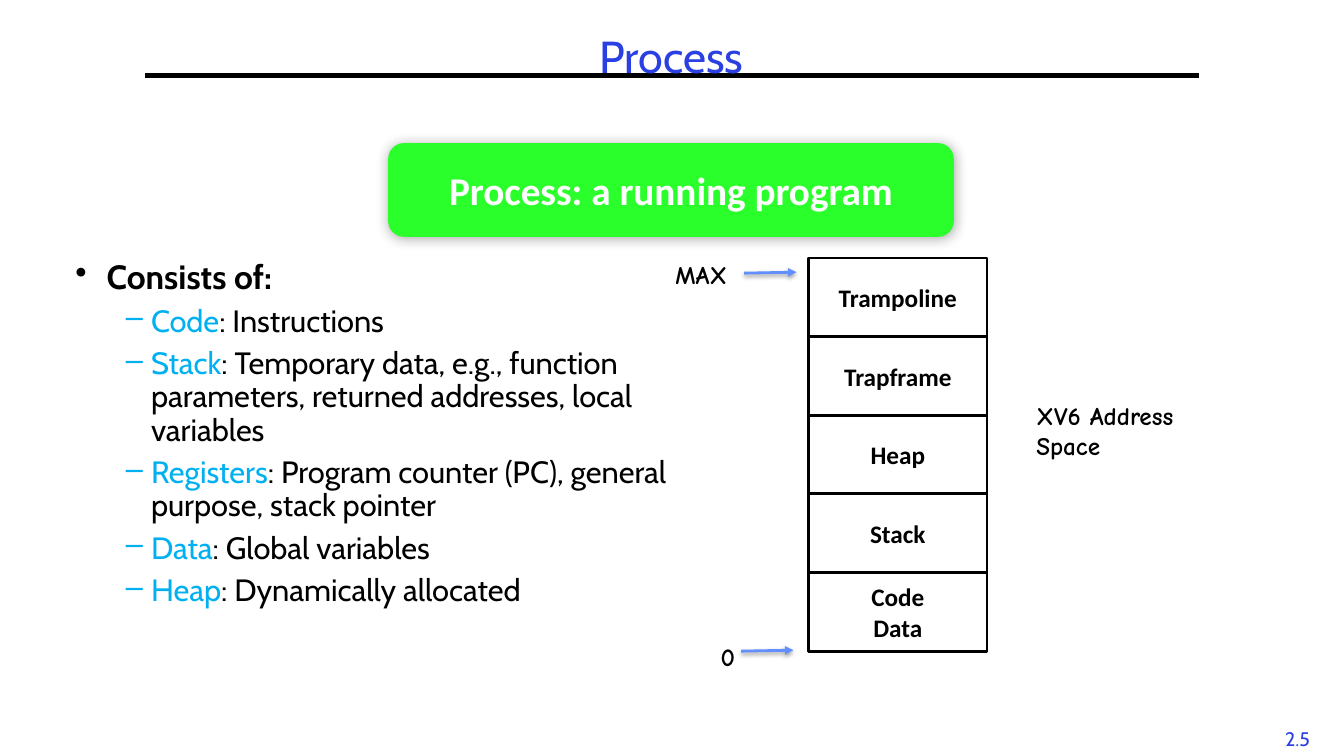
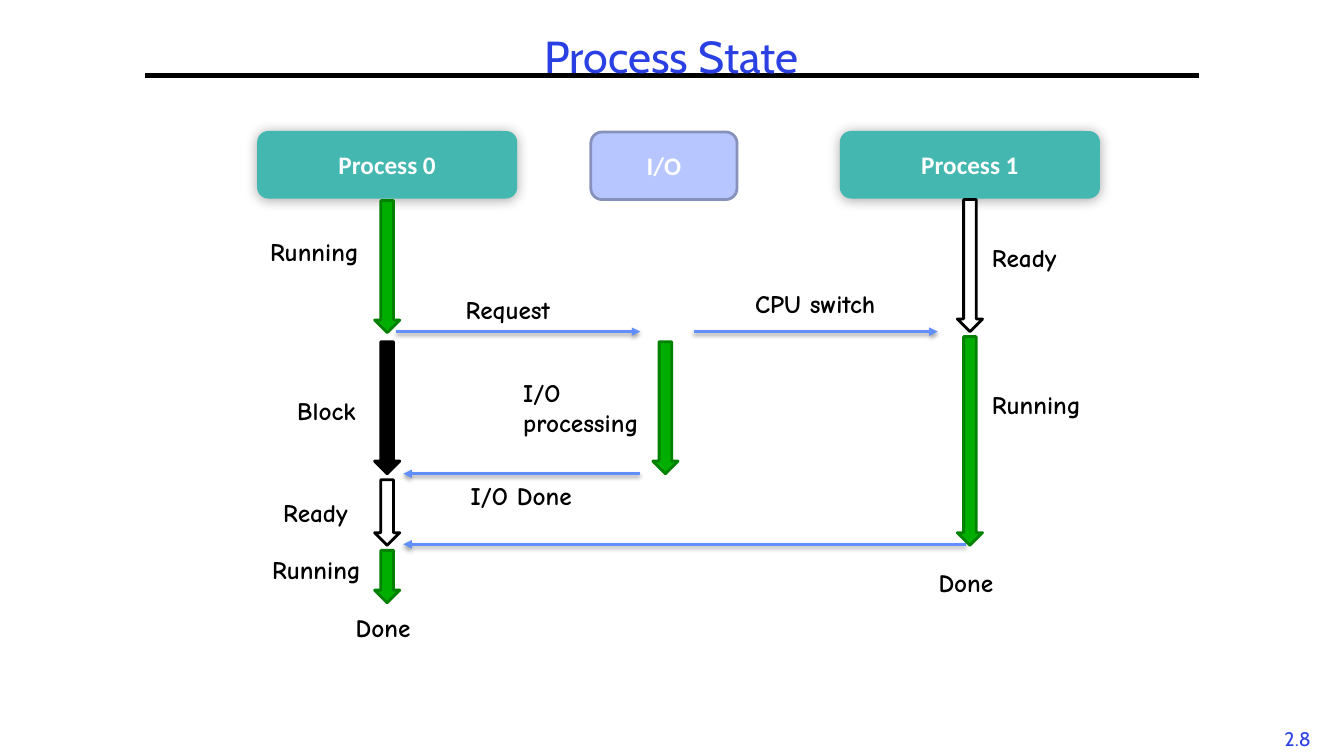
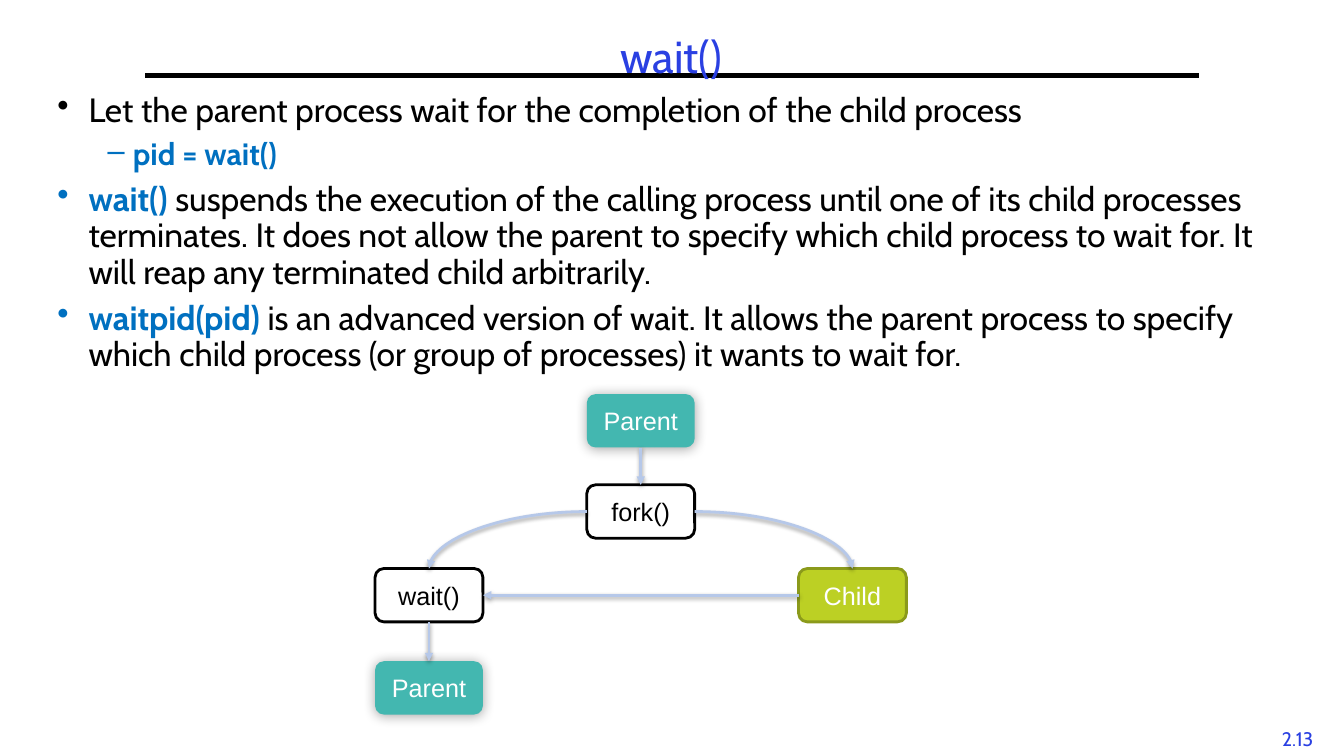
import lxml.etree
import pptx
import pptx.dml.color
import pptx.enum.shapes
import pptx.enum.text
import pptx.oxml.ns
import pptx.util

Inches, Pt = pptx.util.Inches, pptx.util.Pt
SHAPE = pptx.enum.shapes.MSO_SHAPE
CONNECTOR = pptx.enum.shapes.MSO_CONNECTOR
ALIGN = pptx.enum.text.PP_ALIGN
qn = pptx.oxml.ns.qn
TOP, LEFT, BOTTOM, RIGHT = range(4)

BLACK, WHITE, TITLE_BLUE = "000000", "FFFFFF", "2A40E2"
TEAL, GREEN, DARK_GREEN = "43B7B0", "00AE00", "008100"
ARROW_BLUE, PALE_BLUE, CYAN, CODE_BLUE = "618FFD", "B6C8E9", "00B0F0", "0070C0"
BOX_SHADOW = (35, 9, 1)  # opacity %, blur pt, distance pt
LINE_SHADOW = (38, 3.1, 1.6)


def rgb(value):
    return pptx.dml.color.RGBColor.from_string(value)


def add_child(parent, tag, **attributes):
    return lxml.etree.SubElement(parent, qn(tag), attributes)


class Deck:
    BULLETS = (("•", 0.31, -0.31, 24), ("–", 0.75, -0.25, 22))

    def __init__(self):
        self.presentation = pptx.Presentation()
        self.presentation.slide_width = Inches(13.33)
        self.presentation.slide_height = Inches(7.5)
        self.slide = None

    # Shared slide frame
    def new_slide(self, title, number):
        self.slide = self.presentation.slides.add_slide(
            self.presentation.slide_layouts[6])
        self.text(number, 12.58, 7.16, 0.58, 0.33, size=14, font="Cabin",
                  color=TITLE_BLUE, align=ALIGN.CENTER)
        self.line((1.44, 0.75), (11.89, 0.75), BLACK, width=3, arrow=False)
        heading = self.text(title, 0.46, 0.3, 12.4, 0.58, size=32, font="Cabin",
                            color=TITLE_BLUE, align=ALIGN.CENTER, wrap=True)
        heading.text_frame.paragraphs[0].line_spacing = 0.9

    # Text
    def style(self, run, size, font, color, bold):
        run.font.size, run.font.name, run.font.bold = Pt(size), font, bold
        run.font.color.rgb = rgb(color)

    def fill_text(self, frame, words, size, font, color, bold, align):
        frame.text = words
        for paragraph in frame.paragraphs:
            paragraph.alignment = align
            for run in paragraph.runs:
                self.style(run, size, font, color, bold)

    def text(self, words, left, top, width, height, size=18, font="Comic Neue",
             color=BLACK, bold=False, align=ALIGN.LEFT, wrap=False):
        box = self.slide.shapes.add_textbox(
            Inches(left), Inches(top), Inches(width), Inches(height))
        box.text_frame.word_wrap = wrap
        self.fill_text(box.text_frame, words, size, font, color, bold, align)
        return box

    def label(self, words, left, top, width, height=0.4, wrap=False):
        self.text(words, left, top, width, height, bold=True, wrap=wrap)

    def bullets(self, items, left, top, width, height):
        frame = self.text("", left, top, width, height, wrap=True).text_frame
        for index, (level, parts) in enumerate(items):
            mark, margin, indent, size = self.BULLETS[level]
            paragraph = frame.add_paragraph() if index else frame.paragraphs[0]
            paragraph.level = level
            paragraph.line_spacing = 0.9
            paragraph.space_before = Pt(0.3 * size if index else 0)
            properties = paragraph._p.get_or_add_pPr()
            properties.set("marL", str(Inches(margin)))
            properties.set("indent", str(Inches(indent)))
            add_child(properties, "a:buChar", char=mark)
            for words, color, bold in parts:
                run = paragraph.add_run()
                run.text = words
                self.style(run, size, "Cabin", color, bold)

    # Shapes
    def shadow(self, shape, settings):
        properties = shape._element.spPr
        effects = properties.find(qn("a:effectLst"))
        if effects is None:
            effects = add_child(properties, "a:effectLst")
        if settings:
            opacity, blur, distance = settings
            outer = add_child(effects, "a:outerShdw", blurRad=str(Pt(blur)),
                              dist=str(Pt(distance)), dir="5400000",
                              rotWithShape="0")
            color = add_child(outer, "a:srgbClr", val=BLACK)
            add_child(color, "a:alpha", val=str(opacity * 1000))

    def shape(self, kind, left, top, width, height, fill, outline=None):
        shape = self.slide.shapes.add_shape(
            kind, Inches(left), Inches(top), Inches(width), Inches(height))
        shape.fill.solid()
        shape.fill.fore_color.rgb = rgb(fill)
        shape.shadow.inherit = False
        if outline:
            shape.line.color.rgb = rgb(outline)
            shape.line.width = Pt(2)
        else:
            shape.line.fill.background()
            self.shadow(shape, BOX_SHADOW)
        return shape

    def box(self, words, left, top, width, height, fill, outline=None,
            color=WHITE, size=18, font="Calibri", bold=True,
            kind=SHAPE.ROUNDED_RECTANGLE):
        box = self.shape(kind, left, top, width, height, fill, outline)
        box.text_frame.vertical_anchor = pptx.enum.text.MSO_ANCHOR.MIDDLE
        self.fill_text(box.text_frame, words, size, font, color, bold,
                       ALIGN.CENTER)
        return box

    def state_arrow(self, center, top, height, fill, outline):
        width = 0.25
        self.shape(SHAPE.DOWN_ARROW, center - width / 2, top, width, height,
                   fill, outline)

    # Lines
    def line(self, start, end, color=ARROW_BLUE, width=2, arrow=True,
             kind=CONNECTOR.STRAIGHT):
        line = self.slide.shapes.add_connector(
            kind, *(Inches(value) for value in (*start, *end)))
        line.line.color.rgb = rgb(color)
        line.line.width = Pt(width)
        if arrow:
            add_child(line.line._get_or_add_ln(), "a:tailEnd", type="triangle")
        self.shadow(line, LINE_SHADOW if arrow else None)
        return line

    def link(self, source, source_side, target, target_side, curved=False):
        kind = CONNECTOR.CURVE if curved else CONNECTOR.STRAIGHT
        link = self.line((0, 0), (1, 1), PALE_BLUE, kind=kind)
        link.begin_connect(source, source_side)
        link.end_connect(target, target_side)
        if curved:
            geometry = link._element.spPr.find(qn("a:prstGeom"))
            geometry.set("prst", "curvedConnector2")


def process_slide(deck):
    deck.new_slide("Process", "2.5")
    parts = (
        ("Code", "Instructions"),
        ("Stack", "Temporary data, e.g., function parameters, "
                  "returned addresses, local variables"),
        ("Registers", "Program counter (PC), general purpose, stack pointer"),
        ("Data", "Global variables"),
        ("Heap", "Dynamically allocated"),
    )
    deck.bullets(
        [(0, [("Consists of:", BLACK, True)])]
        + [(1, [(name, CYAN, False), (": " + meaning, BLACK, False)])
           for name, meaning in parts],
        0.65, 2.53, 6.1, 4.19)
    deck.box("Process: a running program", 3.85, 1.42, 5.61, 0.93, "2BFF2B",
             size=28)

    # Address space, from the highest address down
    segments = ("Trampoline", "Trapframe", "Heap", "Stack", "Code\nData")
    for row, segment in enumerate(segments):
        deck.box(segment, 8.02, 2.56 + 0.78 * row, 1.77, 0.78, WHITE, BLACK,
                 color=BLACK, kind=SHAPE.RECTANGLE)
    deck.label("MAX", 6.6, 2.52, 0.79)
    deck.line((7.38, 2.71), (7.9, 2.7))
    deck.label("0", 7.05, 6.31, 0.36)
    deck.line((7.35, 6.46), (7.87, 6.45))
    deck.label("XV6 Address\nSpace", 10.18, 3.92, 1.81, 0.71)


def state_slide(deck):
    deck.new_slide("Process State", "2.8")
    deck.box("Process 0", 2.55, 1.3, 2.58, 0.67, TEAL)
    deck.box("Process 1", 8.33, 1.3, 2.58, 0.67, TEAL)
    deck.box("I/O", 5.86, 1.31, 1.45, 0.67, "B7C6FE", "8792BC")

    # Messages between the timelines
    for start, end, y in ((3.93, 6.35, 3.29), (6.88, 9.3, 3.29),
                          (6.35, 4, 4.7), (9.58, 4, 5.4)):
        deck.line((start, y), (end, y))

    # Time spent in each state
    running, ready, blocked = (GREEN, DARK_GREEN), (WHITE, BLACK), (BLACK, BLACK)
    process_0, io, process_1 = 3.84, 6.6, 9.62
    for center, top, height, state in (
            (process_0, 1.99, 1.31, running), (process_0, 3.39, 1.31, blocked),
            (process_0, 4.76, 0.65, ready), (process_0, 5.46, 0.52, running),
            (io, 3.39, 1.31, running),
            (process_1, 1.98, 1.31, ready), (process_1, 3.34, 2.07, running)):
        deck.state_arrow(center, top, height, *state)

    for words, left, top, width in (
            ("Running", 2.58, 2.3, 1.09), ("Block", 2.85, 3.87, 0.83),
            ("Ready", 2.71, 4.88, 0.93), ("Running", 2.6, 5.45, 1.09),
            ("Done", 3.43, 6.03, 0.81), ("Request", 4.52, 2.87, 1.14),
            ("I/O Done", 4.57, 4.72, 1.37), ("CPU switch", 7.39, 2.81, 1.61),
            ("Ready", 9.74, 2.36, 0.93), ("Running", 9.74, 3.81, 1.09),
            ("Done", 9.21, 5.58, 0.81)):
        deck.label(words, left, top, width)
    deck.label("I/O processing", 5.09, 3.69, 1.61, 0.71, wrap=True)


def wait_slide(deck):
    deck.new_slide("wait()", "2.13")
    deck.bullets([
        (0, [("Let the parent process wait for the completion of the child "
              "process", BLACK, False)]),
        (1, [("pid = wait()", CODE_BLUE, True)]),
        (0, [("wait() ", CODE_BLUE, True),
             ("suspends the execution of the calling process until one of its "
              "child processes terminates. It does not allow the parent to "
              "specify which child process to wait for. It will reap any "
              "terminated child arbitrarily.", BLACK, False)]),
        (0, [("waitpid(pid) ", CODE_BLUE, True),
             ("is an advanced version of wait. It allows the parent process to "
              "specify which child process (or group of processes) it wants to "
              "wait for.", BLACK, False)]),
    ], 0.47, 0.88, 12.4, 3)

    # Fork and wait flow
    def step(words, column, top, fill, outline=None, color=WHITE):
        return deck.box(words, 3.72 + 2.1 * column, top, 1.07, 0.53, fill,
                        outline, color, font="Arial", bold=False)

    parent = step("Parent", 1, 3.91, TEAL)
    fork = step("fork()", 1, 4.81, WHITE, BLACK, BLACK)
    wait = step("wait()", 0, 5.64, WHITE, BLACK, BLACK)
    child = step("Child", 2, 5.64, "BCD024", "8B9A1B")
    resumed_parent = step("Parent", 0, 6.56, TEAL)
    deck.link(parent, BOTTOM, fork, TOP)
    deck.link(fork, LEFT, wait, TOP, curved=True)
    deck.link(fork, RIGHT, child, TOP, curved=True)
    deck.link(child, LEFT, wait, RIGHT)
    deck.link(wait, BOTTOM, resumed_parent, TOP)


def main():
    deck = Deck()
    process_slide(deck)
    state_slide(deck)
    wait_slide(deck)
    deck.presentation.save("out.pptx")


if __name__ == "__main__":
    main()
